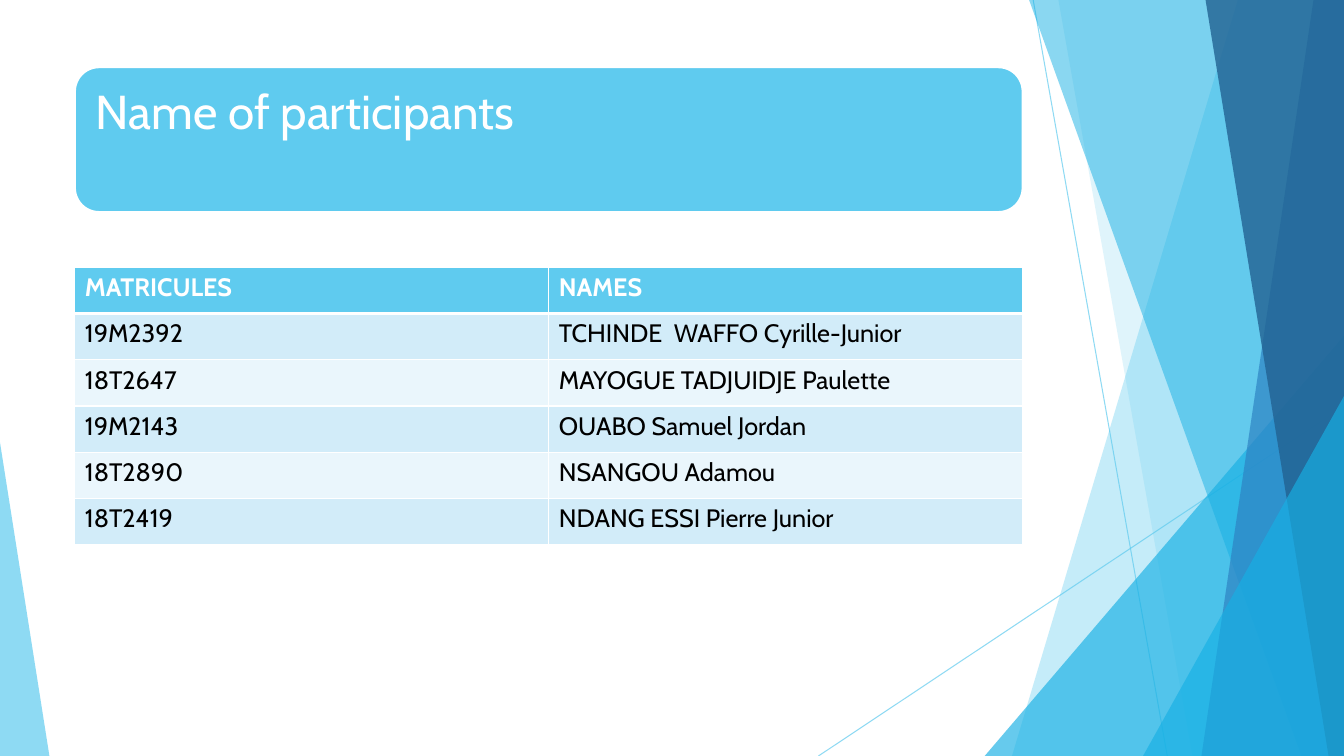
from lxml import etree
from pptx import Presentation
from pptx import util as u
from pptx.dml.color import RGBColor
from pptx.enum import shapes, text
from pptx.oxml.ns import qn

# Content
TITLE = "Name of participants"
ROWS = [
    ("MATRICULES", "NAMES"),
    ("19M2392", "TCHINDE  WAFFO Cyrille-Junior"),
    ("18T2647", "MAYOGUE TADJUIDJE Paulette"),
    ("19M2143", "OUABO Samuel Jordan"),
    ("18T2890", "NSANGOU Adamou"),
    ("18T2419", "NDANG ESSI Pierre Junior"),
]

FONT = "Cabin"
C = {"sky": "5FCBEF", "cyan": "17B0E4", "blue": "2E83C3", "navy": "226292",
     "band1": "D2ECF9", "band2": "EAF6FC", "white": "FFFFFF", "black": "000000"}
W, H = 960, 540
LEFT, WIDTH = 53.5, 677
TABLE_TOP, ROW_H = 191, 33

# Background: lines (x1, y1, x2, y2)
LINES = [(738, 0, 833.8, H), (W, 290.2, 584.6, H)]
# Ribbons reach the right edge: top x, bottom x, colour, opacity %
# Triangles stand on the bottom edge: left, top, width, apex, colour, opacity %
FACETS = [
    ("ribbon", 884.2, 722.9, "sky", 36),
    ("ribbon", 756, 851.8, "sky", 20),
    ("triangle", 703.4, 239.8, 256.6, 1, "cyan", 66),
    ("ribbon", 735.1, 929.5, "cyan", 50),
    ("ribbon", 938.2, 858.2, "blue", 70),
    ("ribbon", 861.1, 949, "navy", 80),
    ("triangle", 816.5, 283, 143.5, 1, "cyan", 66),
    ("triangle", 0, 316.1, 35.3, 0, "sky", 70),
]


def rgb(name):
    return RGBColor.from_string(C[name])


def set_alpha(fill_parent, percent):
    clr = next(fill_parent.iter(qn("a:srgbClr")))
    etree.SubElement(clr, qn("a:alpha")).set("val", str(percent * 1000))


def style_font(p, size, color, bold=False):
    for r in p.runs:
        r.font.name, r.font.size, r.font.bold = FONT, u.Pt(size), bold
        r.font.color.rgb = rgb(color)


def set_border(cell, side, width):
    ln = etree.SubElement(cell._tc.get_or_add_tcPr(), qn("a:ln" + side))
    ln.set("w", str(u.Pt(width)))
    fill = etree.SubElement(ln, qn("a:solidFill"))
    etree.SubElement(fill, qn("a:srgbClr")).set("val", C["white"])


def add_ribbon(s, top_x, bottom_x):
    corners = [(W, 0), (W, H), (bottom_x, H)]
    fb = s.shapes.build_freeform(u.Pt(top_x), 0)
    fb.add_line_segments([(u.Pt(x), u.Pt(y)) for x, y in corners], close=True)
    return fb.convert_to_shape()


def add_triangle(s, left, top, width, apex):
    sp = s.shapes.add_shape(shapes.MSO_SHAPE.ISOSCELES_TRIANGLE,
                            u.Pt(left), u.Pt(top), u.Pt(width), u.Pt(H - top))
    sp.adjustments[0] = apex
    return sp


def add_background(s):
    for ends in LINES:
        cx = s.shapes.add_connector(shapes.MSO_CONNECTOR.STRAIGHT,
                                    *[u.Pt(v) for v in ends])
        cx.line.color.rgb = rgb("sky")
        cx.line.width = u.Pt(0.75)
        sp_pr = cx._element.spPr
        set_alpha(sp_pr, 70)
        etree.SubElement(sp_pr, qn("a:effectLst"))
    builders = {"ribbon": add_ribbon, "triangle": add_triangle}
    for kind, *geometry, color, opacity in FACETS:
        sp = builders[kind](s, *geometry)
        sp.shadow.inherit = False
        sp.line.fill.background()
        sp.fill.solid()
        sp.fill.fore_color.rgb = rgb(color)
        set_alpha(sp._element.spPr, opacity)


def add_title(s):
    sp = s.shapes.add_shape(shapes.MSO_SHAPE.ROUNDED_RECTANGLE,
                            u.Pt(LEFT), u.Pt(48), u.Pt(WIDTH), u.Pt(103.5))
    sp.shadow.inherit = False
    sp.fill.solid()
    sp.fill.fore_color.rgb = rgb("sky")
    sp.line.color.rgb = rgb("white")
    sp.line.width = u.Pt(1.5)
    tf = sp.text_frame
    tf.word_wrap = True
    tf.vertical_anchor = text.MSO_ANCHOR.TOP
    tf.margin_left = tf.margin_right = u.Pt(10)
    tf.margin_top = u.Pt(10)
    tf.text = TITLE
    p = tf.paragraphs[0]
    p.alignment = text.PP_ALIGN.LEFT
    p.line_spacing = 0.9
    style_font(p, 34, "white")


def add_participants(s):
    n_rows, n_cols = len(ROWS), len(ROWS[0])
    table = s.shapes.add_table(n_rows, n_cols, u.Pt(LEFT), u.Pt(TABLE_TOP),
                               u.Pt(WIDTH), u.Pt(ROW_H * n_rows)).table
    for i, row in enumerate(ROWS):
        header = i == 0
        band = "sky" if header else "band1" if i % 2 else "band2"
        for j, value in enumerate(row):
            cell = table.cell(i, j)
            cell.text = value
            style_font(cell.text_frame.paragraphs[0], 18,
                       "white" if header else "black", bold=header)
            # The rule under the header is thicker
            widths = {"L": 1, "R": 1, "T": 3 if i == 1 else 1, "B": 3 if header else 1}
            for side, width in widths.items():
                set_border(cell, side, width)
            cell.fill.solid()
            cell.fill.fore_color.rgb = rgb(band)


def main():
    prs = Presentation()
    prs.slide_width, prs.slide_height = u.Pt(W), u.Pt(H)
    s = prs.slides.add_slide(prs.slide_layouts[6])
    add_background(s)
    add_title(s)
    add_participants(s)
    prs.save("out.pptx")


if __name__ == "__main__":
    main()
